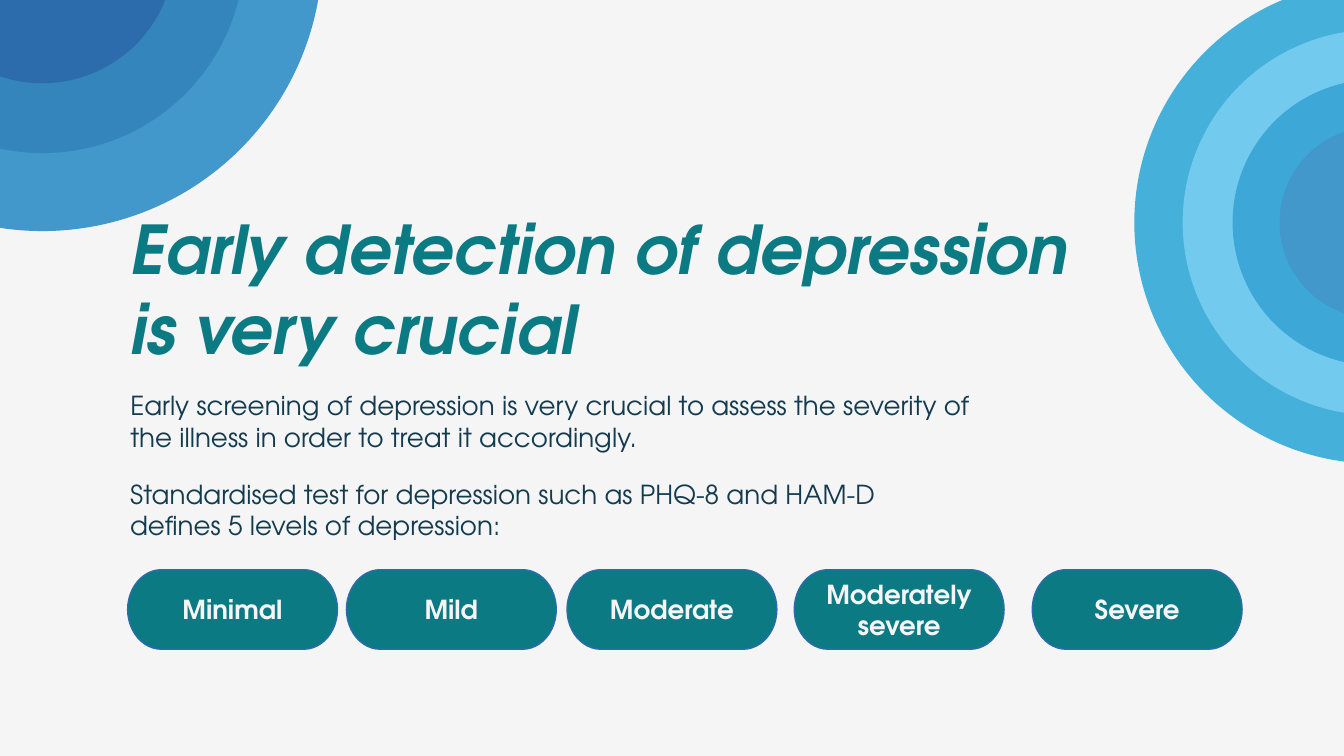
from lxml import etree
from pptx import Presentation
from pptx.dml.color import RGBColor
from pptx.enum.shapes import MSO_SHAPE
from pptx.enum.text import MSO_ANCHOR, MSO_AUTO_SIZE, PP_ALIGN
from pptx.oxml import parse_xml
from pptx.util import Pt

OVAL, PIE = MSO_SHAPE.OVAL, MSO_SHAPE.PIE
PILL = MSO_SHAPE.FLOWCHART_TERMINATOR
TOP, MIDDLE, BOTTOM = MSO_ANCHOR.TOP, MSO_ANCHOR.MIDDLE, MSO_ANCHOR.BOTTOM
LEFT, CENTER = PP_ALIGN.LEFT, PP_ALIGN.CENTER
NO_FIT = MSO_AUTO_SIZE.NONE

PAPER = RGBColor(0xF5, 0xF5, 0xF5)
INK = RGBColor(0x13, 0x3B, 0x4F)
TEAL = RGBColor(0x0B, 0x7A, 0x83)
NAVY = RGBColor(0x2C, 0x6C, 0xAC)
DENIM = RGBColor(0x35, 0x85, 0xBD)
BLUE = RGBColor(0x42, 0x97, 0xCB)
SKY = RGBColor(0x45, 0xB0, 0xDA)
PALE = RGBColor(0x72, 0xCB, 0xEE)
AZURE = RGBColor(0x3D, 0xA7, 0xD8)

FONT = "TeX Gyre Adventor"
EDGE = 62.6  # left side shared by the text boxes
GLOW = (
    '<a:effectLst xmlns:a="http://schemas.openxmlformats.org/drawingml/2006/main">'
    '<a:outerShdw blurRad="50800" dist="38100" dir="2700000" algn="tl" rotWithShape="0">'
    '<a:srgbClr val="000000"><a:alpha val="40000"/></a:srgbClr>'
    '</a:outerShdw></a:effectLst>'
)

# Each ring: diameter, colour
CORNER = [(300.2, BLUE), (216.6, DENIM), (141.8, NAVY)]
SIDE = [(258.4, SKY), (206.6, PALE), (153.2, AZURE), (102.8, BLUE)]

# Each level: left, label
LEVELS = [
    (68.4, "Minimal"),
    (185.6, "Mild"),
    (303.8, "Moderate"),
    (425.5, "Moderately severe"),
    (553, "Severe"),
]


def place(shape, left, top, width, height):
    shape.left, shape.top = Pt(left), Pt(top)
    shape.width, shape.height = Pt(width), Pt(height)


def write(shape, text, size, color, bold=False, align=LEFT, anchor=TOP):
    frame = shape.text_frame
    frame.text = text
    frame.word_wrap = True
    frame.auto_size = NO_FIT
    frame.vertical_anchor = anchor
    frame.margin_left = frame.margin_right = Pt(7.2)
    frame.margin_top = frame.margin_bottom = Pt(7.2)
    para = frame.paragraphs[0]
    para.alignment = align
    para.space_before = Pt(0)
    run = para.runs[0]
    run.font.name = FONT
    run.font.size = Pt(size)
    run.font.bold = bold
    run.font.color.rgb = color
    return run


def add_rings(slide, kind, x, y, rings):
    """Stack filled rings around one centre, largest at the back."""
    group = slide.shapes.add_group_shape()
    for size, color in rings:
        ring = group.shapes.add_shape(
            kind, Pt(x - size / 2), Pt(y - size / 2), Pt(size), Pt(size))
        if kind == PIE:  # left half, from 90 to 270 degrees
            ring.adjustments[0], ring.adjustments[1] = 54, 162
        ring.shadow.inherit = False
        ring.fill.solid()
        ring.fill.fore_color.rgb = color
        ring.line.fill.background()
    return group


def add_pill(slide, left, label):
    pill = slide.shapes.add_shape(PILL, Pt(left), Pt(305.2), Pt(112.4), Pt(42.6))
    pill.shadow.inherit = False
    pill.fill.solid()
    pill.fill.fore_color.rgb = TEAL
    pill.line.color.rgb = NAVY
    pill.line.width = Pt(0.75)
    write(pill, label, 14, PAPER, True, CENTER, MIDDLE)


def add_glow(run):
    """Cast a soft shadow; the effect must precede the font element."""
    for child in run.font._element:
        if etree.QName(child).localname == "latin":
            child.addprevious(parse_xml(GLOW))
            break


def main():
    deck = Presentation()
    deck.slide_width, deck.slide_height = Pt(720), Pt(405)
    slide = deck.slides.add_slide(deck.slide_layouts[0])
    slide.background.fill.solid()
    slide.background.fill.fore_color.rgb = PAPER

    # Corner rings, sent behind the text
    corner = add_rings(slide, OVAL, 22.7, -26.3, CORNER)
    slide.shapes._spTree.insert(2, corner._element)

    # Title and body text
    title, body = slide.placeholders
    place(title, EDGE, 85.7, 522, 118.8)
    run = write(title, "Early detection of depression is very crucial",
                36, TEAL, True, anchor=BOTTOM)
    run.font.italic = True
    add_glow(run)
    place(body, EDGE, 201.6, 479.5, 47.5)
    write(body, "Early screening of depression is very crucial to assess the "
          "severity of the illness in order to treat it accordingly.", 14, INK)

    # Rings at the right side
    add_rings(slide, PIE, 736.9, 119.2, SIDE)

    # Severity levels with their lead-in
    lead = slide.shapes.add_textbox(Pt(EDGE), Pt(249.1), Pt(442.8), Pt(48.2))
    write(lead, "Standardised test for depression such as PHQ-8 and HAM-D "
          "defines 5 levels of depression:", 14, INK)
    for left, label in LEVELS:
        add_pill(slide, left, label)

    deck.save("out.pptx")


if __name__ == "__main__":
    main()
